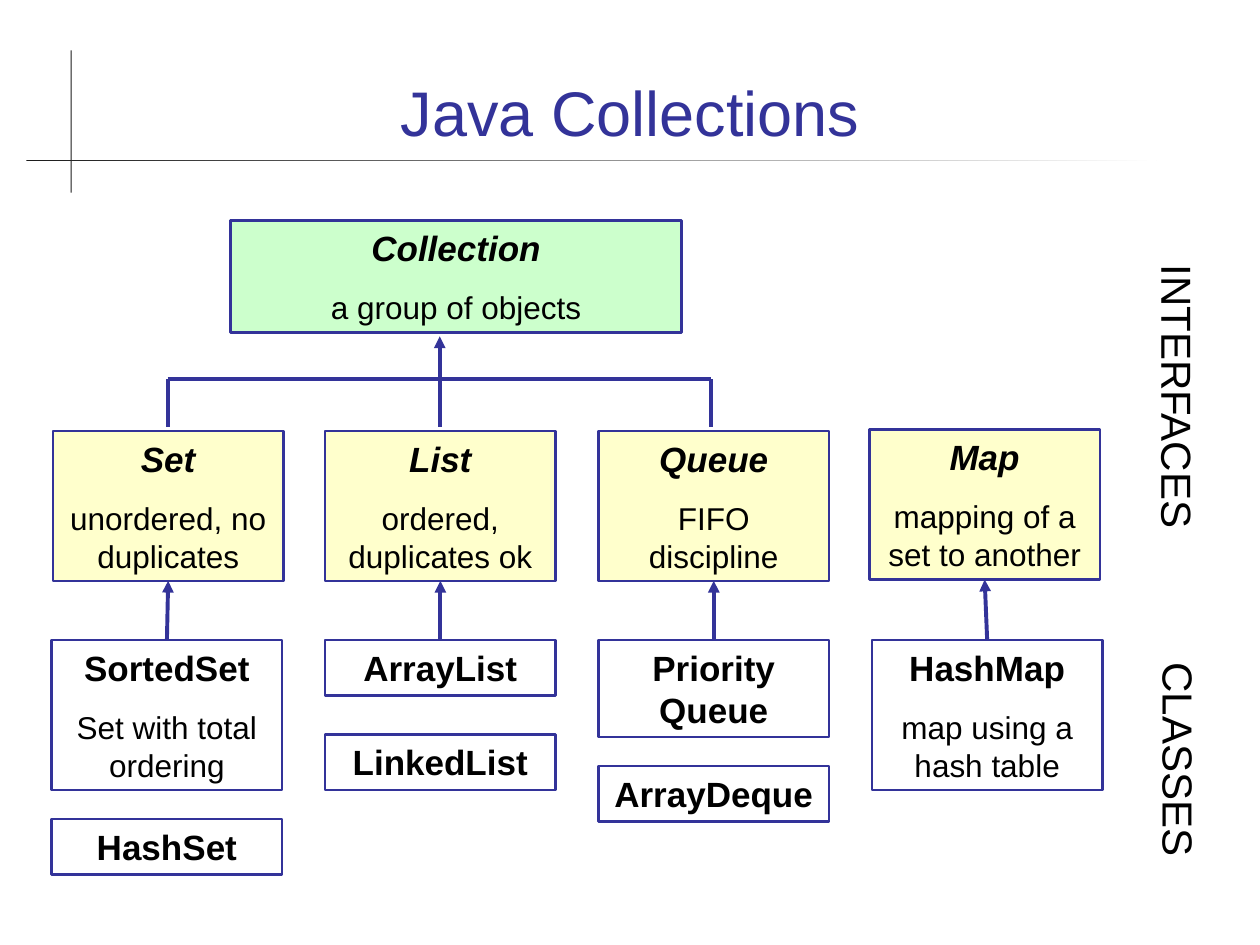
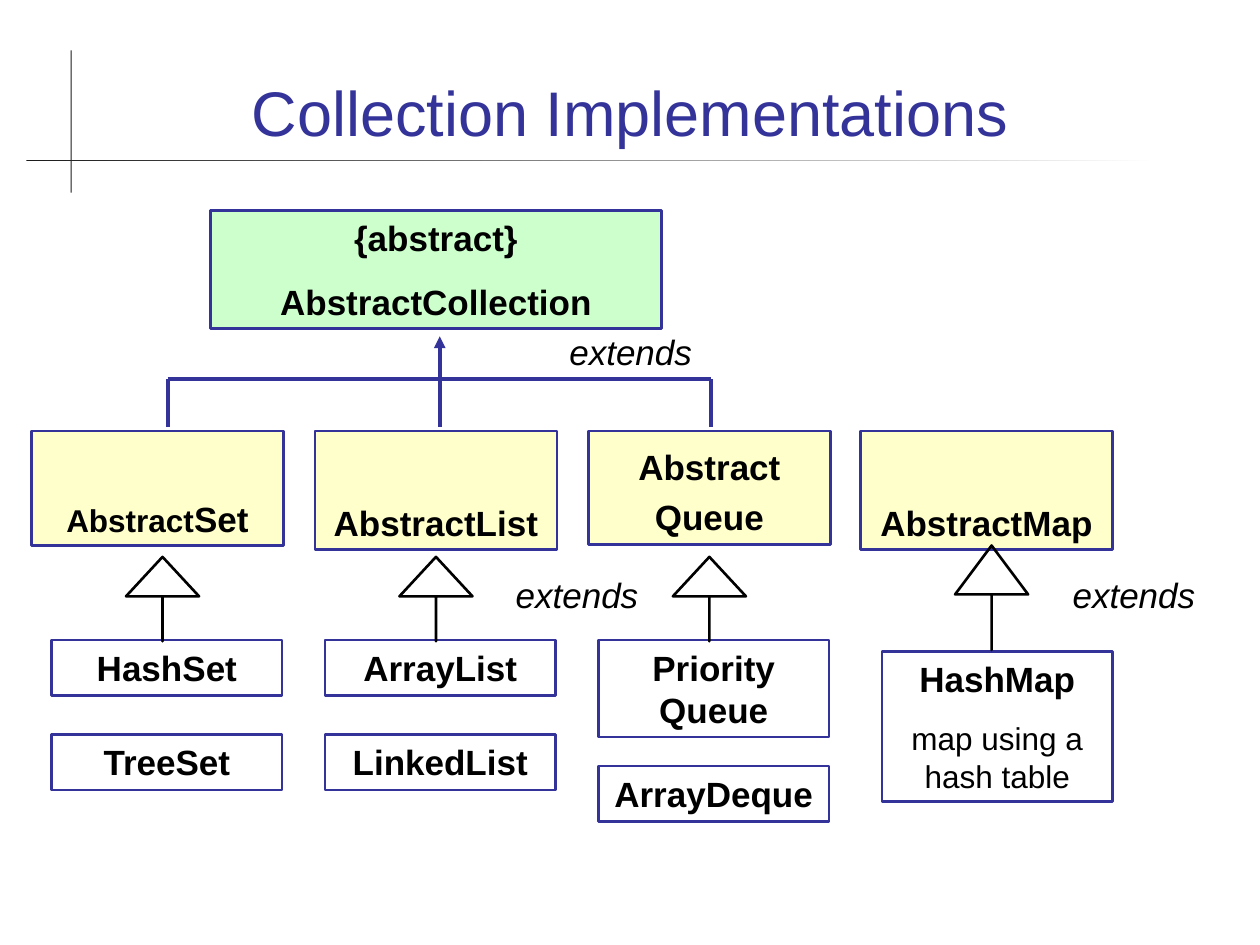
from dataclasses import dataclass

from lxml import etree
from pptx import Presentation
from pptx.dml.color import RGBColor
from pptx.enum.shapes import MSO_CONNECTOR, MSO_SHAPE
from pptx.enum.text import MSO_ANCHOR, PP_ALIGN
from pptx.oxml.ns import qn
from pptx.util import Inches, Pt

CENTER, LEFT = PP_ALIGN.CENTER, PP_ALIGN.LEFT
TOP, BOTTOM = MSO_ANCHOR.TOP, MSO_ANCHOR.BOTTOM
RECTANGLE, UP_ARROW = MSO_SHAPE.RECTANGLE, MSO_SHAPE.UP_ARROW
STRAIGHT = MSO_CONNECTOR.STRAIGHT
TOP_SITE, BOTTOM_SITE = 0, 2
TITLE_ONLY = 5


# Theme
@dataclass(frozen=True)
class TextStyle:
    size: float
    bold: bool = False
    italic: bool = False
    space_before: float = 0
    line_spacing: float = 1


class Theme:
    font = "Arial"
    blue = RGBColor(0x33, 0x33, 0x99)
    green = RGBColor(0xCC, 0xFF, 0xCC)
    yellow = RGBColor(0xFF, 0xFF, 0xCC)
    black = RGBColor(0, 0, 0)
    white = RGBColor(0xFF, 0xFF, 0xFF)
    rule = RGBColor(0x1C, 0x1C, 0x1C)
    outline, connector = 1.5, 2.25
    title = TextStyle(36)
    interface = TextStyle(20, bold=True, italic=True)
    name = TextStyle(20, bold=True, space_before=12.5)
    spaced_name = TextStyle(20, bold=True, line_spacing=1.2)
    note = TextStyle(18, space_before=11.2)
    relation = TextStyle(20, italic=True)
    band = TextStyle(24)


# Grid of the class boxes
COLUMN_LEFT, COLUMN_PITCH, COLUMN_WIDTH = 0.41, 2.17, 1.83
CLASS_TOP, INTERFACE_TOP = 5.08, 3.42
ONE_LINE, TWO_LINES, WITH_NOTE = 0.44, 0.77, 1.19

# Content of the first slide
COLLECTIONS_TITLE = "Java Collections"
COLLECTION = [(Theme.interface, "Collection"), (Theme.note, "a group of objects")]
INTERFACES = [  # name, note, left, top
    ("Set", "unordered, no duplicates", 0.42, INTERFACE_TOP),
    ("List", "ordered, duplicates ok", 2.58, INTERFACE_TOP),
    ("Queue", "FIFO discipline", 4.75, INTERFACE_TOP),
    ("Map", "mapping of a set to another", 6.9, 3.41),
]
COLLECTION_CLASSES = [  # column, top, height, name, note
    (0, CLASS_TOP, WITH_NOTE, "SortedSet", "Set with total ordering"),
    (1, CLASS_TOP, ONE_LINE, "ArrayList", None),
    (2, CLASS_TOP, TWO_LINES, "Priority Queue", None),
    (3, CLASS_TOP, WITH_NOTE, "HashMap", "map using a hash table"),
    (0, 6.5, ONE_LINE, "HashSet", None),
]
BANDS = [("INTERFACES", (8.06, 3.04, 2.58, 0.5)), ("CLASSES", (8.4, 5.87, 1.92, 0.5))]

# Content of the second slide
IMPLEMENTATIONS_TITLE = "Collection Implementations"
ABSTRACT_COLLECTION = [(Theme.name, "{abstract}"), (Theme.name, "AbstractCollection")]
ABSTRACT_CLASSES = [  # text runs with sizes, style, place, anchor
    ([("Abstract", 18), ("Set", 20)], Theme.name, (0.25, INTERFACE_TOP, 2, 0.91), BOTTOM),
    ("AbstractList", Theme.name, (2.5, INTERFACE_TOP, 1.92, 0.94), BOTTOM),
    ("Abstract Queue", Theme.spaced_name, (4.67, INTERFACE_TOP, 1.92, 0.9), TOP),
    ("AbstractMap", Theme.name, (6.83, INTERFACE_TOP, 2, 0.94), BOTTOM),
]
IMPLEMENTATION_CLASSES = [
    (0, CLASS_TOP, ONE_LINE, "HashSet", None),
    (0, 5.83, ONE_LINE, "TreeSet", None),
    (1, CLASS_TOP, ONE_LINE, "ArrayList", None),
    (2, CLASS_TOP, TWO_LINES, "Priority Queue", None),
]
HASH_MAP = [(Theme.name, "HashMap"), (Theme.note, "map using a hash table")]
EXTENDS_ARROWS = [  # place, head length
    *[((1 + column * COLUMN_PITCH, 4.42, 0.58, 0.67), 0.54) for column in range(3)],
    ((7.58, 4.33, 0.58, 0.83), 0.67),
]
EXTENDS_LABELS = [
    ((4.42, 2.57, 2, 0.44), LEFT),
    ((3.58, 4.5, 2, 0.44), CENTER),
    ((8, 4.5, 2, 0.44), CENTER),
]

# Classes on both slides
SHARED_CLASSES = [
    (1, 5.83, ONE_LINE, "LinkedList", None),
    (2, 6.08, ONE_LINE, "ArrayDeque", None),
]


def inches(values):
    return [Inches(value) for value in values]


# Text and shapes
def write(shape, paragraphs, align=CENTER, anchor=TOP, color=Theme.black):
    frame = shape.text_frame
    frame.word_wrap = True
    frame.vertical_anchor = anchor
    for index, (style, text) in enumerate(paragraphs):
        paragraph = frame.add_paragraph() if index else frame.paragraphs[0]
        paragraph.alignment = align
        paragraph.space_before = Pt(style.space_before if index else 0)
        paragraph.line_spacing = style.line_spacing
        font = paragraph.font
        font.name, font.size = Theme.font, Pt(style.size)
        font.bold, font.italic = style.bold, style.italic
        font.color.rgb = color
        if isinstance(text, str):
            paragraph.add_run().text = text
        else:
            for part, size in text:
                run = paragraph.add_run()
                run.text = part
                run.font.size = Pt(size)


def add_outline(slide, kind, place, line_color, fill=None):
    shape = slide.shapes.add_shape(kind, *inches(place))
    shape.shadow.inherit = False
    shape.line.color.rgb = line_color
    shape.line.width = Pt(Theme.outline)
    if fill is None:
        shape.fill.background()
    else:
        shape.fill.solid()
        shape.fill.fore_color.rgb = fill
    return shape


def add_box(slide, place, paragraphs, fill=None, anchor=TOP):
    box = add_outline(slide, RECTANGLE, place, Theme.blue, fill)
    write(box, paragraphs, anchor=anchor)
    return box


def add_label(slide, place, style, text, align=LEFT, rotation=0):
    label = slide.shapes.add_textbox(*inches(place))
    label.rotation = rotation
    write(label, [(style, text)], align)


def add_classes(slide, classes):
    boxes = []
    for column, top, height, name, note in classes:
        place = (COLUMN_LEFT + column * COLUMN_PITCH, top, COLUMN_WIDTH, height)
        paragraphs = [(Theme.name, name)] + ([(Theme.note, note)] if note else [])
        boxes.append(add_box(slide, place, paragraphs))
    return boxes


def add_line(slide, start=(0, 0), end=(0, 0), arrow=False):
    line = slide.shapes.add_connector(STRAIGHT, *inches(start + end))
    line.line.color.rgb = Theme.blue
    line.line.width = Pt(Theme.connector)
    if arrow:
        etree.SubElement(line.line._get_or_add_ln(), qn("a:tailEnd"), type="triangle")
    etree.SubElement(line._element.spPr, qn("a:effectLst"))
    return line


# Parts shared by both slides
def add_slide(presentation, title):
    slide = presentation.slides.add_slide(presentation.slide_layouts[TITLE_ONLY])
    for place in [(0.56, 0.4, 0.01, 1.13), (0.21, 1.27, 8.97, 0.01)]:
        rule = slide.shapes.add_shape(RECTANGLE, *inches(place))
        rule.shadow.inherit = False
        rule.line.fill.background()
        if place[2] < place[3]:
            rule.fill.solid()
            rule.fill.fore_color.rgb = Theme.rule
        else:
            rule.fill.gradient()
            rule.fill.gradient_angle = 0
            for stop, color in zip(rule.fill.gradient_stops, (Theme.rule, Theme.white)):
                stop.color.rgb = color
    heading = slide.shapes.title
    heading.left, heading.top, heading.width, heading.height = inches((0.67, 0.28, 8.66, 0.95))
    write(heading, [(Theme.title, title)], anchor=BOTTOM, color=Theme.blue)
    return slide


def add_tree(slide):
    left, middle, right = 1.33, 3.49, 5.64
    branch, stub_end, root = 3.01, 3.39, 2.67
    add_line(slide, (left, branch), (right, branch))
    add_line(slide, (middle, branch), (middle, root), arrow=True)
    for x in (left, middle, right):
        add_line(slide, (x, branch), (x, stub_end))


def build_collections(presentation):
    slide = add_slide(presentation, COLLECTIONS_TITLE)
    add_box(slide, (1.83, 1.75, 3.58, 0.89), COLLECTION, Theme.green)
    interfaces = [
        add_box(slide, (left, top, COLUMN_WIDTH, WITH_NOTE),
                [(Theme.interface, name), (Theme.note, note)], Theme.yellow)
        for name, note, left, top in INTERFACES
    ]
    classes = add_classes(slide, COLLECTION_CLASSES + SHARED_CLASSES)
    add_tree(slide)
    for class_box, interface in zip(classes, interfaces):
        arrow = add_line(slide, arrow=True)
        arrow.begin_connect(class_box, TOP_SITE)
        arrow.end_connect(interface, BOTTOM_SITE)
    for text, place in BANDS:
        add_label(slide, place, Theme.band, text, rotation=90)


def build_implementations(presentation):
    slide = add_slide(presentation, IMPLEMENTATIONS_TITLE)
    add_box(slide, (1.67, 1.67, 3.58, 0.94), ABSTRACT_COLLECTION, Theme.green)
    for text, style, place, anchor in ABSTRACT_CLASSES:
        add_box(slide, place, [(style, text)], Theme.yellow, anchor)
    add_classes(slide, IMPLEMENTATION_CLASSES + SHARED_CLASSES)
    add_box(slide, (7, 5.17, COLUMN_WIDTH, WITH_NOTE), HASH_MAP)
    add_tree(slide)
    for place, head_length in EXTENDS_ARROWS:
        arrow = add_outline(slide, UP_ARROW, place, Theme.black)
        arrow.adjustments[0] = 0
        arrow.adjustments[1] = head_length
    for place, align in EXTENDS_LABELS:
        add_label(slide, place, Theme.relation, "extends", align)


def main():
    presentation = Presentation()
    presentation.slide_width, presentation.slide_height = inches((10, 7.5))
    build_collections(presentation)
    build_implementations(presentation)
    presentation.save("out.pptx")


if __name__ == "__main__":
    main()
